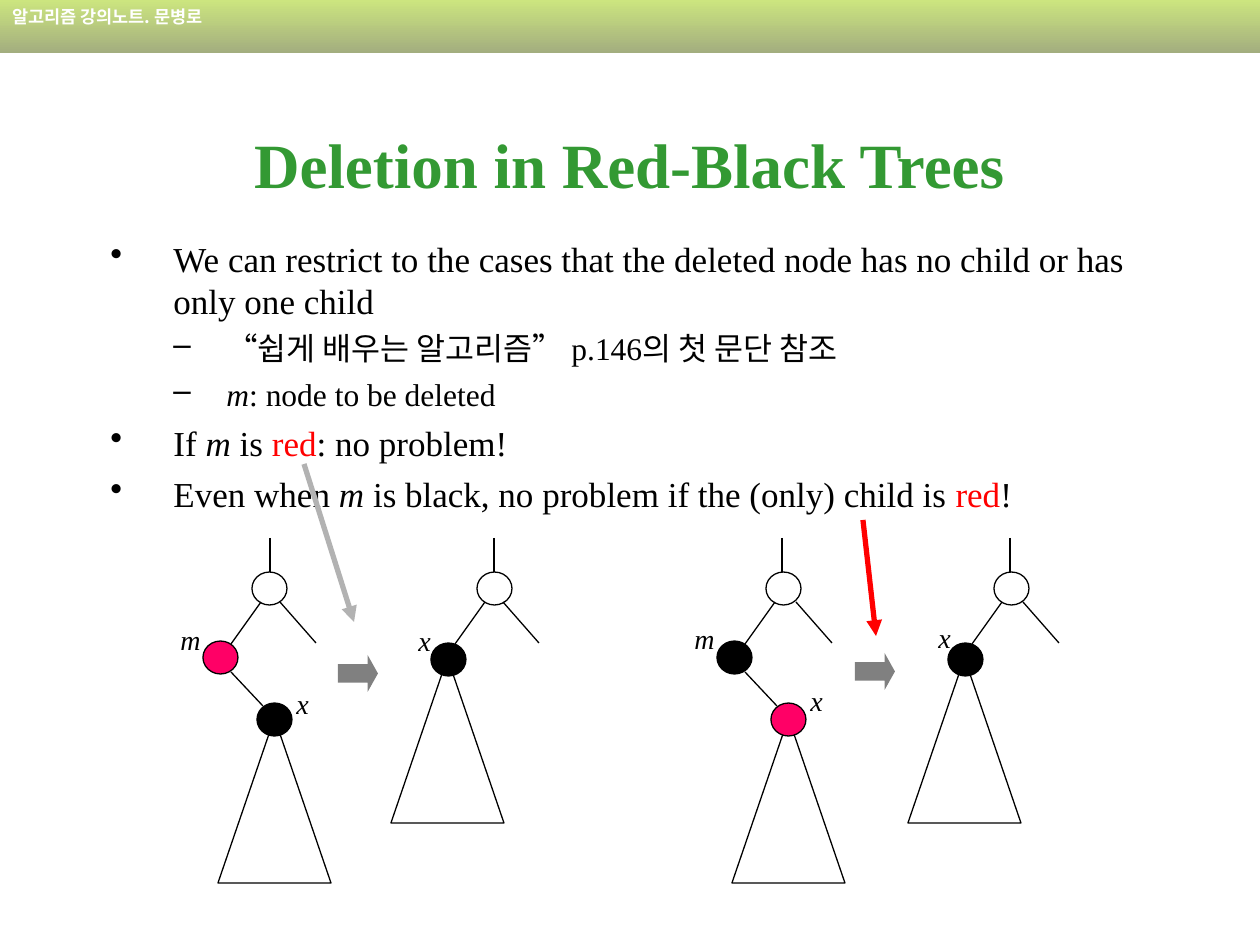
from lxml.etree import SubElement
from pptx import Presentation
from pptx.dml.color import RGBColor
from pptx.enum.shapes import MSO_CONNECTOR, MSO_SHAPE as SHAPE
from pptx.enum.text import MSO_ANCHOR, PP_ALIGN
from pptx.oxml.ns import qn
from pptx.util import Pt

PX = 914400 / 126
SERIF = "Times New Roman"
KOREAN = "Noto Sans CJK KR"
BLACK = RGBColor(0, 0, 0)
WHITE = RGBColor(255, 255, 255)
RED = RGBColor(255, 0, 0)
PINK = RGBColor(255, 0, 102)
GREEN = RGBColor(51, 153, 51)
GRAY = RGBColor(128, 128, 128)
SILVER = RGBColor(178, 178, 178)
BAND_TOP = RGBColor(204, 229, 127)
BAND_BOTTOM = RGBColor(163, 174, 127)

presentation = Presentation()
presentation.slide_width = round(1260 * PX)
presentation.slide_height = round(945 * PX)
slide = presentation.slides.add_slide(presentation.slide_layouts[6])
shapes = slide.shapes


def add_figure(kind, box, fill=None, outline=BLACK):
    shape = shapes.add_shape(kind, *(round(v * PX) for v in box))
    shape.shadow.inherit = False
    if fill is None:
        shape.fill.background()
    else:
        shape.fill.solid()
        shape.fill.fore_color.rgb = fill
    if outline is None:
        shape.line.fill.background()
    else:
        shape.line.color.rgb = outline
        shape.line.width = Pt(0.75)
    return shape


def add_line(ends, color=BLACK, width=0.75):
    line = shapes.add_connector(MSO_CONNECTOR.STRAIGHT, *(round(v * PX) for v in ends))
    line.line.color.rgb = color
    line.line.width = Pt(width)
    SubElement(line._element.spPr, qn("a:effectLst"))
    return line


band = add_figure(SHAPE.RECTANGLE, (0, 0, 1260, 53), outline=None)
band.fill.gradient()
band.fill.gradient_angle = 270
for stop, color in zip(band.fill.gradient_stops, (BAND_TOP, BAND_BOTTOM)):
    stop.color.rgb = color
band.text_frame.vertical_anchor = MSO_ANCHOR.TOP
paragraph = band.text_frame.paragraphs[0]
paragraph.text = "알고리즘 강의노트. 문병로"
paragraph.alignment = PP_ALIGN.LEFT
paragraph.font.name = KOREAN
paragraph.font.size = Pt(10)
paragraph.font.bold = True
paragraph.font.color.rgb = WHITE
SubElement(paragraph._p.pPr.find(qn("a:defRPr")), qn("a:ea"), typeface=KOREAN)

body = shapes.add_textbox(*(round(v * PX) for v in (98, 231, 1076, 292))).text_frame
body.word_wrap = True
ITEMS = [
    (0, ["We can restrict to the cases that the deleted node has no child or has only one child"]),
    (1, ["“쉽게 배우는 알고리즘” p.146의 첫 문단 참조"]),
    (1, ["m", ": node to be deleted"]),
    (0, ["If ", "m", " is ", "red", ": no problem!"]),
    (0, ["Even when ", "m", " is black, no problem if the (only) child is ", "red", "!"]),
]
LEVELS = [("•", 63, 63, 20, 5), ("–", 116, 53, 18, 4.5)]
for index, (level, texts) in enumerate(ITEMS):
    bullet, margin, hanging, size, space = LEVELS[level]
    paragraph = body.add_paragraph() if index else body.paragraphs[0]
    paragraph.level = level
    properties = paragraph._p.get_or_add_pPr()
    properties.set("marL", str(round(margin * PX)))
    properties.set("indent", str(round(-hanging * PX)))
    SubElement(properties, qn("a:buChar"), char=bullet)
    if index:
        paragraph.space_before = Pt(space)
    paragraph.font.name = SERIF
    paragraph.font.size = Pt(size)
    paragraph.font.color.rgb = BLACK
    for text in texts:
        run = paragraph.add_run()
        run.text = text
        if text == "m":
            run.font.italic = True
        if text == "red":
            run.font.color.rgb = RED

for left, stem, branch, deleted_color, child_color in (
    (203, 270, 280, PINK, BLACK),
    (717, 782, 796, BLACK, PINK),
):
    add_figure(SHAPE.OVAL, (left + 49, 572, 35, 33), WHITE)
    add_figure(SHAPE.OVAL, (left, 641, 35, 33), deleted_color)
    add_figure(SHAPE.ISOSCELES_TRIANGLE, (left + 15, 718, 113, 165))
    add_figure(SHAPE.OVAL, (left + 54, 703, 35, 33), child_color)
    add_line((left + 58, 602, left + 28, 644))
    add_line((left + 28, 672, left + 60, 706))
    add_line((stem, 538, stem, 572))
    add_line((branch, 602, branch + 36, 643))

for left, stem, branch in ((391, 494, 503), (908, 1010, 1023)):
    add_figure(SHAPE.OVAL, (left + 86, 572, 35, 33), WHITE)
    add_figure(SHAPE.ISOSCELES_TRIANGLE, (left, 658, 113, 165))
    add_figure(SHAPE.OVAL, (left + 40, 643, 35, 33), BLACK)
    add_line((left + 94, 602, left + 64, 644))
    add_line((stem, 538, stem, 572))
    add_line((branch, 602, branch + 36, 643))

for left, top in ((338, 655), (855, 653)):
    arrow = add_figure(SHAPE.RIGHT_ARROW, (left, top, 40, 37), GRAY, None)
    arrow.adjustments[1] = 0.28

for text, left, top in (
    ("m", 168, 616), ("x", 284, 680), ("x", 406, 617),
    ("m", 682, 615), ("x", 798, 677), ("x", 926, 614),
):
    label = shapes.add_textbox(*(round(v * PX) for v in (left, top, 38, 47))).text_frame
    label.word_wrap = True
    paragraph = label.paragraphs[0]
    paragraph.text = text
    paragraph.font.name = SERIF
    paragraph.font.size = Pt(16)
    paragraph.font.italic = True
    paragraph.font.color.rgb = BLACK

for ends, color in (((304, 464, 354, 622), SILVER), ((863, 520, 876, 636), RED)):
    pointer = add_line(ends, color, 3)
    SubElement(pointer.line._get_or_add_ln(), qn("a:tailEnd"), type="triangle")

title = shapes.add_textbox(*(round(v * PX) for v in (94, 84, 1071, 158))).text_frame
title.word_wrap = True
title.vertical_anchor = MSO_ANCHOR.MIDDLE
paragraph = title.paragraphs[0]
paragraph.text = "Deletion in Red-Black Trees"
paragraph.alignment = PP_ALIGN.CENTER
paragraph.font.name = SERIF
paragraph.font.size = Pt(36)
paragraph.font.bold = True
paragraph.font.color.rgb = GREEN

presentation.save("out.pptx")
